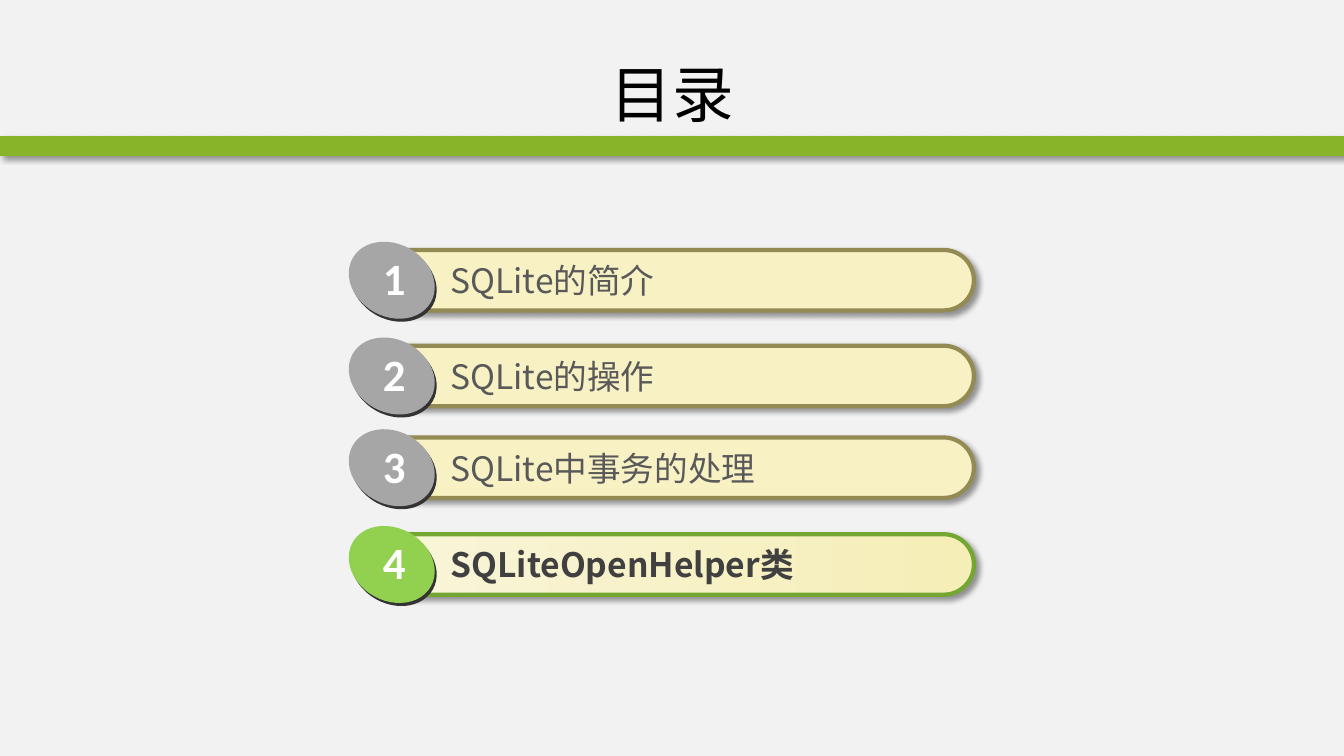
from dataclasses import dataclass

from lxml import etree
from pptx import Presentation
from pptx.dml.color import RGBColor
from pptx.enum.shapes import MSO_SHAPE as Preset
from pptx.enum.text import MSO_ANCHOR as Anchor, MSO_AUTO_SIZE as AutoSize, PP_ALIGN as Align
from pptx.oxml.ns import qn
from pptx.util import Inches, Pt


@dataclass(frozen=True)
class Theme:
    background: str = "F2F2F2"
    bar: str = "88B429"
    ink: str = "000000"
    white: str = "FFFFFF"
    badge_edge: str = "333333"
    font: str = "Noto Sans CJK SC"
    number_font: str = "Calibri"
    title_size: int = 44
    number_size: int = 32
    entry_size: int = 24


@dataclass(frozen=True)
class EntryStyle:
    fill: tuple
    line: str
    badge: str
    text: str
    bold: bool


THEME = Theme()
NORMAL = EntryStyle(("F7F1C4",), "948A54", "A6A6A6", "595959", False)
CURRENT = EntryStyle(("F9F5D9", "F5EEB7"), "74A731", "92D050", "404040", True)
ENTRIES = [
    (2.48, "SQLite的简介", NORMAL),
    (3.43, "SQLite的操作", NORMAL),
    (4.34, "SQLite中事务的处理", NORMAL),
    (5.3, "SQLiteOpenHelper类", CURRENT),
]


def rgb(color):
    return RGBColor.from_string(color)


def write_text(frame, text, *, size, color, font=THEME.font, bold=False, align=Align.LEFT):
    paragraph = frame.paragraphs[0]
    paragraph.alignment = align
    run = paragraph.add_run()
    run.text = text
    run.font.size = Pt(size)
    run.font.bold = bold
    run.font.color.rgb = rgb(color)
    run.font.name = font
    east_asian = etree.SubElement(run.font._element, qn("a:ea"))
    east_asian.set("typeface", font)


def add_label(shapes, box, text, wrap=True, **text_format):
    label = shapes.add_textbox(*map(Inches, box))
    label.text_frame.word_wrap = wrap
    label.text_frame.auto_size = AutoSize.SHAPE_TO_FIT_TEXT
    write_text(label.text_frame, text, **text_format)


def add_filled_shape(shapes, preset, box, colors, line=None):
    """Two colours give a left-to-right gradient, one a plain fill."""
    shape = shapes.add_shape(preset, *map(Inches, box))
    shape.shadow.inherit = False
    if len(colors) == 1:
        shape.fill.solid()
        shape.fill.fore_color.rgb = rgb(colors[0])
    else:
        shape.fill.gradient()
        shape.fill.gradient_angle = 0
        for stop, color in zip(shape.fill.gradient_stops, colors):
            stop.color.rgb = rgb(color)
    if line:
        shape.line.color.rgb = rgb(line)
        shape.line.width = Pt(3)
    else:
        shape.line.fill.background()
    return shape


def add_shadow(shape):
    effects = shape._element.spPr.find(qn("a:effectLst"))
    shadow = etree.SubElement(
        effects, qn("a:outerShdw"), blurRad=str(Pt(4)), dist=str(Pt(3)),
        dir=str(45 * 60000), algn="tl", rotWithShape="0")
    color = etree.SubElement(shadow, qn("a:srgbClr"), val=THEME.ink)
    etree.SubElement(color, qn("a:alpha"), val="40000")


def add_badge(shapes, top, number, color):
    """A tilted disc on a dark, slightly offset one, with a number."""
    for left, offset, fill in ((3.46, -0.03, THEME.badge_edge), (3.44, -0.06, color)):
        disc = add_filled_shape(shapes, Preset.OVAL, (left, top + offset, 0.89, 0.72), (fill,))
        disc.rotation = 29.3
    add_label(shapes, (3.7, top - 0.04, 0.43, 0.64), str(number), wrap=False,
              size=THEME.number_size, color=THEME.white, font=THEME.number_font, bold=True)


def add_entry(slide, number, top, text, style):
    shapes = slide.shapes.add_group_shape().shapes
    pill = add_filled_shape(shapes, Preset.ROUNDED_RECTANGLE, (3.66, top, 6, 0.6),
                            style.fill, style.line)
    pill.adjustments[0] = 0.5
    add_shadow(pill)
    add_label(shapes, (4.37, top + 0.05, 4.9, 0.5), text,
              size=THEME.entry_size, color=style.text, bold=style.bold)
    add_badge(shapes, top, number, style.badge)


def format_title(title, text):
    title.left, title.top, title.width, title.height = map(Inches, (0.67, 0.3, 12, 1.25))
    title.text_frame.vertical_anchor = Anchor.MIDDLE
    write_text(title.text_frame, text, size=THEME.title_size, color=THEME.ink, align=Align.CENTER)


def main():
    presentation = Presentation()
    presentation.slide_width = Inches(13.33)
    presentation.slide_height = Inches(7.5)
    slide = presentation.slides.add_slide(presentation.slide_layouts[5])
    slide.background.fill.solid()
    slide.background.fill.fore_color.rgb = rgb(THEME.background)

    format_title(slide.shapes.title, "目录")
    bar = add_filled_shape(slide.shapes, Preset.RECTANGLE, (0, 1.35, 13.33, 0.2), (THEME.bar,))
    add_shadow(bar)
    for number, (top, text, style) in enumerate(ENTRIES, start=1):
        add_entry(slide, number, top, text, style)
    presentation.save("out.pptx")


if __name__ == "__main__":
    main()
